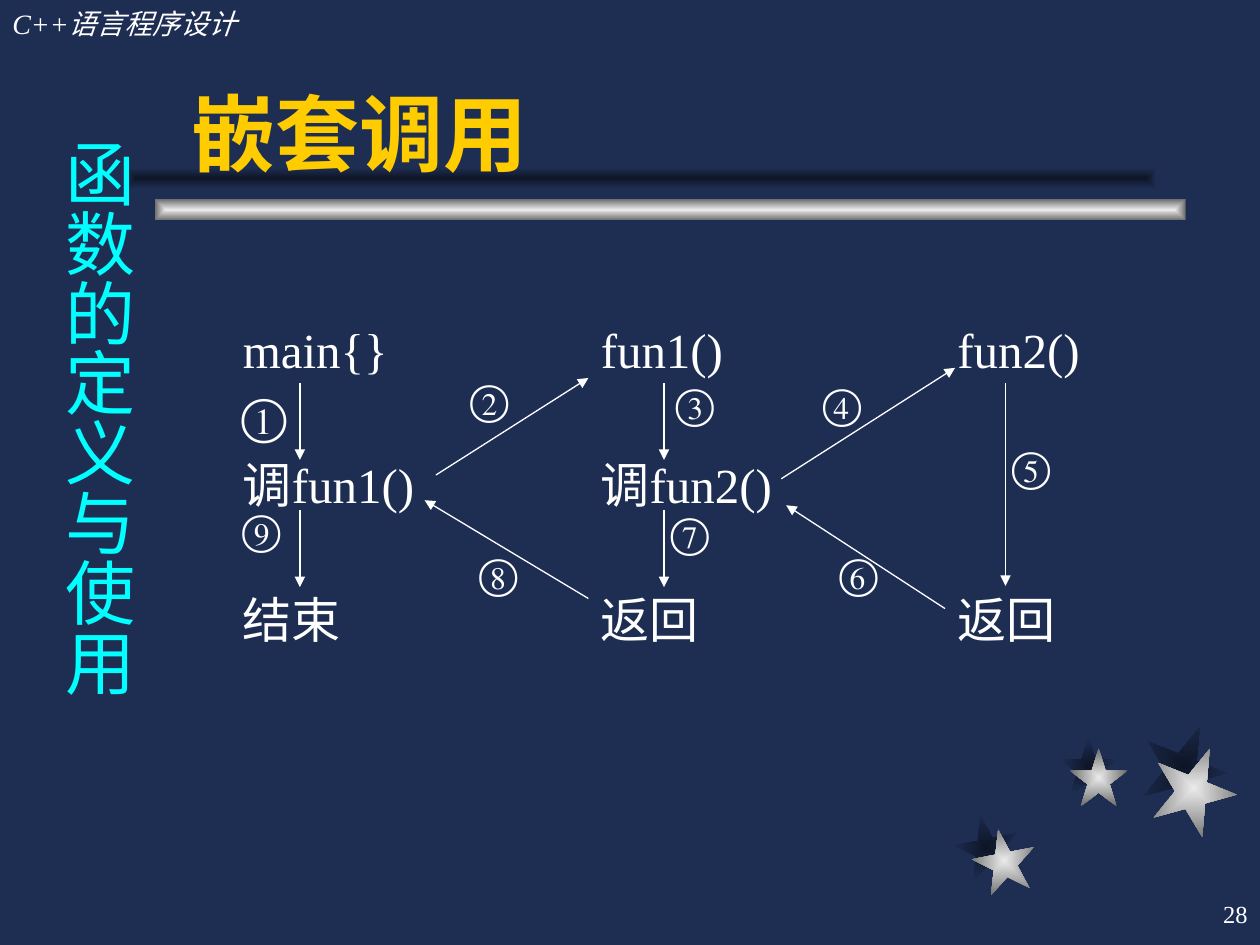
from lxml import etree
from pptx import Presentation
from pptx.dml.color import RGBColor as RGB
from pptx.enum.shapes import MSO_CONNECTOR as LINK, MSO_SHAPE as SHAPE
from pptx.enum.text import MSO_ANCHOR as ANCHOR, PP_ALIGN as ALIGN
from pptx.oxml.ns import qn
from pptx.util import Inches, Pt

THEME = {
    "back": "1E2E53", "white": "FFFFFF", "gold": "FFCC00", "cyan": "00FFFF",
    "metal": ("EAEAEA", "6C6C6C"), "shade": ("0E1526", "1E2E53"),
    "serif": "Times New Roman", "sans": "Arial",
    "head": 16, "page": 14, "title": 48, "side": 40, "code": 28, "mark": 23.8,
}

deck = Presentation()
deck.slide_width, deck.slide_height = Inches(10), Inches(7.5)
slide = deck.slides.add_slide(deck.slide_layouts[6])
slide.background.fill.solid()
slide.background.fill.fore_color.rgb = RGB.from_string(THEME["back"])
shapes = slide.shapes


def add_text(box, lines, size, color="white", face="serif", pad=(0.1, 0.05),
             gaps=(0,), frame_fmt=None, para_fmt=None, font_fmt=None):
    """Add a text box; gaps are the points of space before each line."""
    frame = shapes.add_textbox(*map(Inches, box)).text_frame
    side, top = map(Inches, pad)
    margins = {"margin_left": side, "margin_right": side,
               "margin_top": top, "margin_bottom": top}
    for key, val in {"word_wrap": True, **margins, **(frame_fmt or {})}.items():
        setattr(frame, key, val)
    for i, (line, gap) in enumerate(zip(lines, gaps)):
        para = frame.add_paragraph() if i else frame.paragraphs[0]
        for key, val in {"space_before": Pt(gap), **(para_fmt or {})}.items():
            setattr(para, key, val)
        run = para.add_run()
        run.text = line
        run.font.color.rgb = RGB.from_string(THEME[color])
        look = {"name": THEME[face], "size": Pt(THEME[size]), **(font_fmt or {})}
        for key, val in look.items():
            setattr(run.font, key, val)
    return frame


def add_glow(kind, box, tone, turn=0):
    """Add a shape shaded from its centre out to its edges."""
    shape = shapes.add_shape(kind, *map(Inches, box))
    shape.shadow.inherit = False
    shape.rotation = turn
    shape.line.fill.background()
    shape.fill.gradient()
    for stop, color, pos in zip(shape.fill.gradient_stops, THEME[tone], (0, 1)):
        stop.color.rgb = RGB.from_string(color)
        stop.position = pos
    grad = shape._element.spPr.find(qn("a:gradFill"))
    grad.remove(grad.find(qn("a:lin")))
    route = etree.SubElement(grad, qn("a:path"), path="rect")
    etree.SubElement(route, qn("a:fillToRect"),
                     dict.fromkeys("ltrb", "50000"))


# Stars: shadow corner, metal corner, size, turn
stars = [
    ((7.58, 6.47), (7.72, 6.58), 0.5, 349),
    ((8.41, 5.85), (8.49, 5.94), 0.46, 0),
    ((9.06, 5.75), (9.14, 5.92), 0.67, 22),
]
for layer, tone in enumerate(("shade", "metal")):
    for star in stars:
        size, turn = star[2:]
        add_glow(SHAPE.STAR_5_POINT, (*star[layer], size, size), tone, turn)

# Bar under the title
for left, top, tone in ((1.23, 1.58, "metal"), (1, 1.33, "shade")):
    add_glow(SHAPE.RECTANGLE, (left, top, 8.18, 0.17), tone)

# Headings and page number
add_text((0, 0, 3.08, 0.37), ["C++语言程序设计"], "head", font_fmt={"italic": True})
add_text((7.92, 7, 2.08, 0.5), ["28"], "page",
         frame_fmt={"vertical_anchor": ANCHOR.MIDDLE},
         para_fmt={"alignment": ALIGN.RIGHT})
add_text((1.42, 0.25, 7.83, 1.25), ["嵌套调用"], "title", "gold", "sans",
         frame_fmt={"vertical_anchor": ANCHOR.BOTTOM}, font_fmt={"bold": True})
side = add_text((0.3, 1, 0.86, 5.42), ["函数的定义与使用"], "side", "cyan",
                pad=(0.05, 0.1))
side._txBody.bodyPr.set("vert", "eaVert")

# One column of code for each function
row = 38.5
columns = [
    (1.83, ["main{}", "调fun1()", "结束"], (0, row, row)),
    (4.67, ["fun1()", "调fun2()", "返回"], (0, row, row)),
    (7.5, ["fun2()", "返回"], (0, 3 * row)),
]
for left, lines, gaps in columns:
    add_text((left, 2.42, 1.83, 2.83), lines, "code", gaps=gaps,
             para_fmt={"alignment": ALIGN.JUSTIFY, "line_spacing": 1.15})

# Arrows: steps down each column, then calls and returns between columns
arrows = [(x, top, x, top + 0.61) for x in (2.38, 5.27) for top in (3.04, 4.05)]
arrows += [
    (7.98, 3.04, 7.98, 4.65),
    (3.46, 3.77, 4.67, 3), (4.67, 4.75, 3.37, 3.97),
    (6.2, 3.8, 7.58, 2.92), (7.5, 4.83, 6.24, 4.01),
]
for ends in arrows:
    arrow = shapes.add_connector(LINK.STRAIGHT, *map(Inches, ends))
    arrow.line.color.rgb = RGB.from_string(THEME["white"])
    arrow.line.width = Pt(0.75)
    etree.SubElement(arrow.line._get_or_add_ln(), qn("a:tailEnd"), type="triangle")
    etree.SubElement(arrow._element.spPr, qn("a:effectLst"))

# Order of the steps
marks = [
    ("①", 1.92, 3.06), ("②", 3.73, 3.01), ("③", 5.36, 3.04),
    ("④", 6.53, 3.04), ("⑤", 8.03, 3.54), ("⑥", 6.66, 4.39),
    ("⑦", 5.32, 4.07), ("⑧", 3.8, 4.39), ("⑨", 1.92, 4.04),
]
for mark, left, top in marks:
    first = mark == "①"
    add_text((left, top, 0.35 if first else 0.33, 0.48 if first else 0.4),
             [mark], "code" if first else "mark", pad=(0, 0),
             para_fmt={"alignment": ALIGN.JUSTIFY,
                       "line_spacing": 1.0 if first else 0.9})

deck.save("out.pptx")
